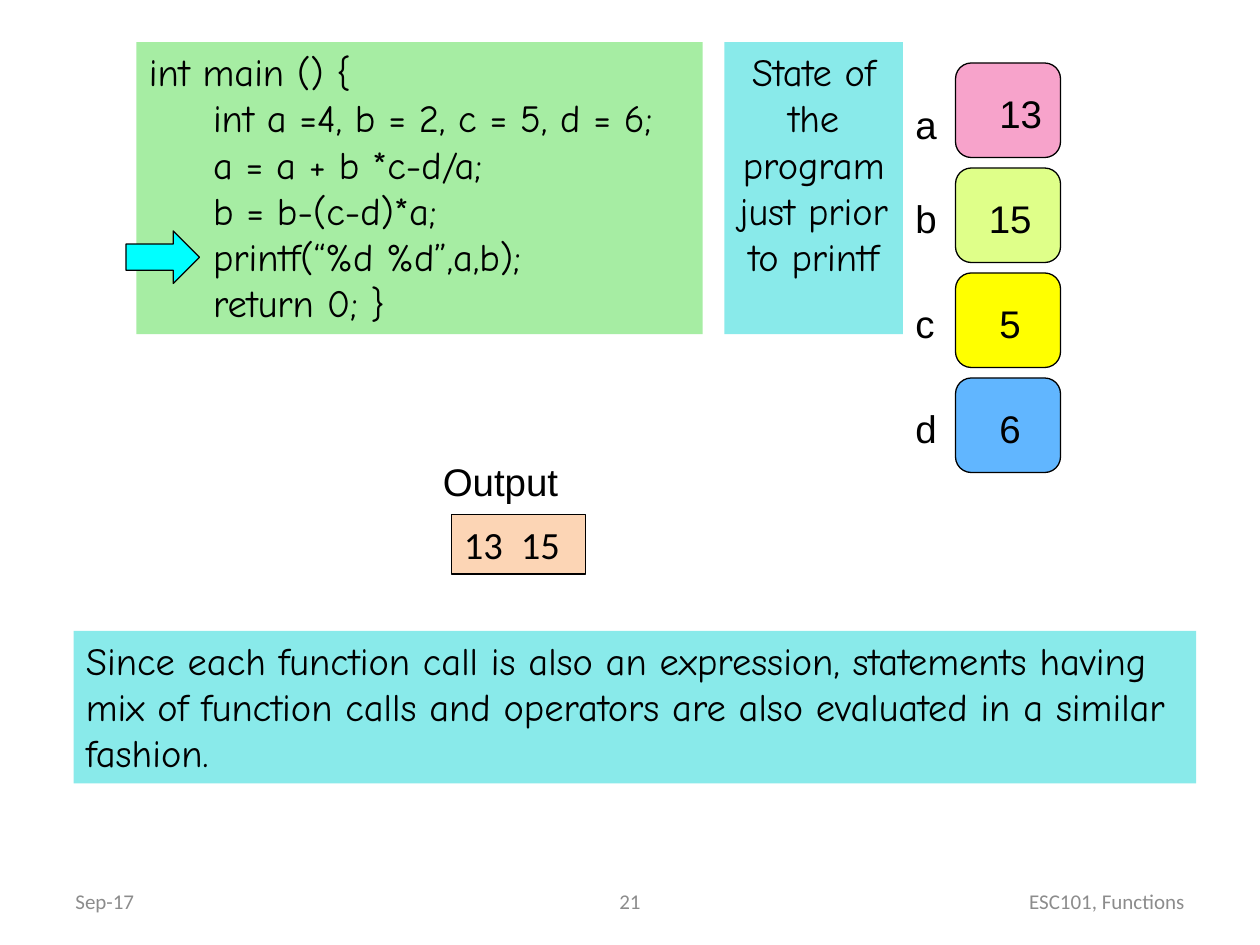
from lxml.etree import SubElement
from pptx import Presentation
from pptx.dml.color import RGBColor
from pptx.enum.shapes import MSO_SHAPE
from pptx.enum.text import MSO_ANCHOR, MSO_AUTO_SIZE, PP_ALIGN
from pptx.oxml.ns import qn
from pptx.util import Pt

COLORS = {
    "ink": "000000", "code": "A6EDA3", "note": "89EAEA", "arrow": "00FFFF",
    "a": "F7A3CB", "b": "DFFF89", "c": "FFFF00", "d": "61B6FF",
    "output": "FCD5B5", "footer": "8C8C8C",
}

CODE = """int main () {
     int a =4, b = 2, c = 5, d = 6;
     a = a + b *c-d/a;
     b = b-(c-d)*a;
     printf(“%d %d”,a,b);
     return 0; }"""


class SlideBuilder:
    """Holds the slide and its text style; all lengths are in points."""

    def __init__(self, s, size=22, label_font="Arial", body_font="Comic Neue"):
        self.s = s
        self.size = size
        self.label_font = label_font
        self.body_font = body_font

    def shape(self, kind, box, fill, outlined=True):
        sp = self.s.shapes.add_shape(kind, *map(Pt, box))
        sp.shadow.inherit = False
        sp.fill.solid()
        sp.fill.fore_color.rgb = RGBColor.from_string(COLORS[fill])
        if outlined:
            sp.line.color.rgb = RGBColor.from_string(COLORS["ink"])
            sp.line.width = Pt(0.75)
        else:
            sp.line.fill.background()
        return sp

    def set_text(self, sp, text, font, size=None, color="ink", align=PP_ALIGN.LEFT,
                 wrap=False, fit=True, anchor=MSO_ANCHOR.TOP, tab=None):
        tf = sp.text_frame
        tf.text = text
        tf.word_wrap = wrap
        tf.auto_size = MSO_AUTO_SIZE.SHAPE_TO_FIT_TEXT if fit else MSO_AUTO_SIZE.NONE
        tf.vertical_anchor = anchor
        for p in tf.paragraphs:
            p.alignment = align
            if tab:
                tabs = SubElement(p._p.get_or_add_pPr(), qn("a:tabLst"))
                SubElement(tabs, qn("a:tab"), pos=str(Pt(tab)), algn="l")
            for r in p.runs:
                r.font.name = font
                r.font.size = Pt(size or self.size)
                r.font.color.rgb = RGBColor.from_string(COLORS[color])

    def panel(self, box, text, fill, **style):
        sp = self.shape(MSO_SHAPE.RECTANGLE, box, fill, outlined=False)
        self.set_text(sp, text, self.body_font, **style)

    def label(self, box, text):
        self.set_text(self.s.shapes.add_textbox(*map(Pt, box)), text, self.label_font)

    def output(self, box, text, tab):
        sp = self.shape(MSO_SHAPE.RECTANGLE, box, "output")
        self.set_text(sp, text, "Calibri", tab=tab)

    def footer(self, left, width, text, align):
        sp = self.s.shapes.add_textbox(Pt(left), Pt(500.5), Pt(width), Pt(28.75))
        self.set_text(sp, text, "Calibri", size=12, color="footer", align=align,
                      wrap=True, fit=False, anchor=MSO_ANCHOR.MIDDLE)


def main():
    prs = Presentation()
    prs.slide_width, prs.slide_height = Pt(720), Pt(540)
    b = SlideBuilder(prs.slides.add_slide(prs.slide_layouts[6]))

    # Program, its state and the current line
    b.panel((78, 24, 323.5, 167), CODE, "code")
    b.panel((414, 24, 102, 167), "State of the program\njust prior to printf",
            "note", align=PP_ALIGN.CENTER, wrap=True)
    b.shape(MSO_SHAPE.RIGHT_ARROW, (72, 132, 42, 30), "arrow")

    # Variables: name, name top, value, value left, value top, value width
    variables = [
        ("a", 54, "13", 564, 48, 39.5),
        ("b", 108, "15", 558, 108, 39.5),
        ("c", 168, "5", 564, 168, 26.5),
        ("d", 228, "6", 564, 228, 26.5),
    ]
    for i, (name, name_top, value, left, top, width) in enumerate(variables):
        b.label((516, name_top, 26.5, 34), name)
        b.shape(MSO_SHAPE.ROUNDED_RECTANGLE, (546, 36 + 60 * i, 60, 54), name)
        b.label((left, top, width, 34), value)

    # Output
    b.label((246, 258, 88, 34), "Output")
    b.output((258, 294, 76.5, 34), "13\t15", tab=32.5)

    # Remark
    b.panel((42, 360.5, 641.5, 87.25),
            "Since each function call is also an expression, statements having "
            "mix of function calls and operators are also evaluated in a similar "
            "fashion.", "note", wrap=True)

    # Footer
    b.footer(36, 168, "Sep-17", PP_ALIGN.LEFT)
    b.footer(246, 228, "21", PP_ALIGN.CENTER)
    b.footer(516, 168, "ESC101, Functions", PP_ALIGN.RIGHT)

    prs.save("out.pptx")


if __name__ == "__main__":
    main()
